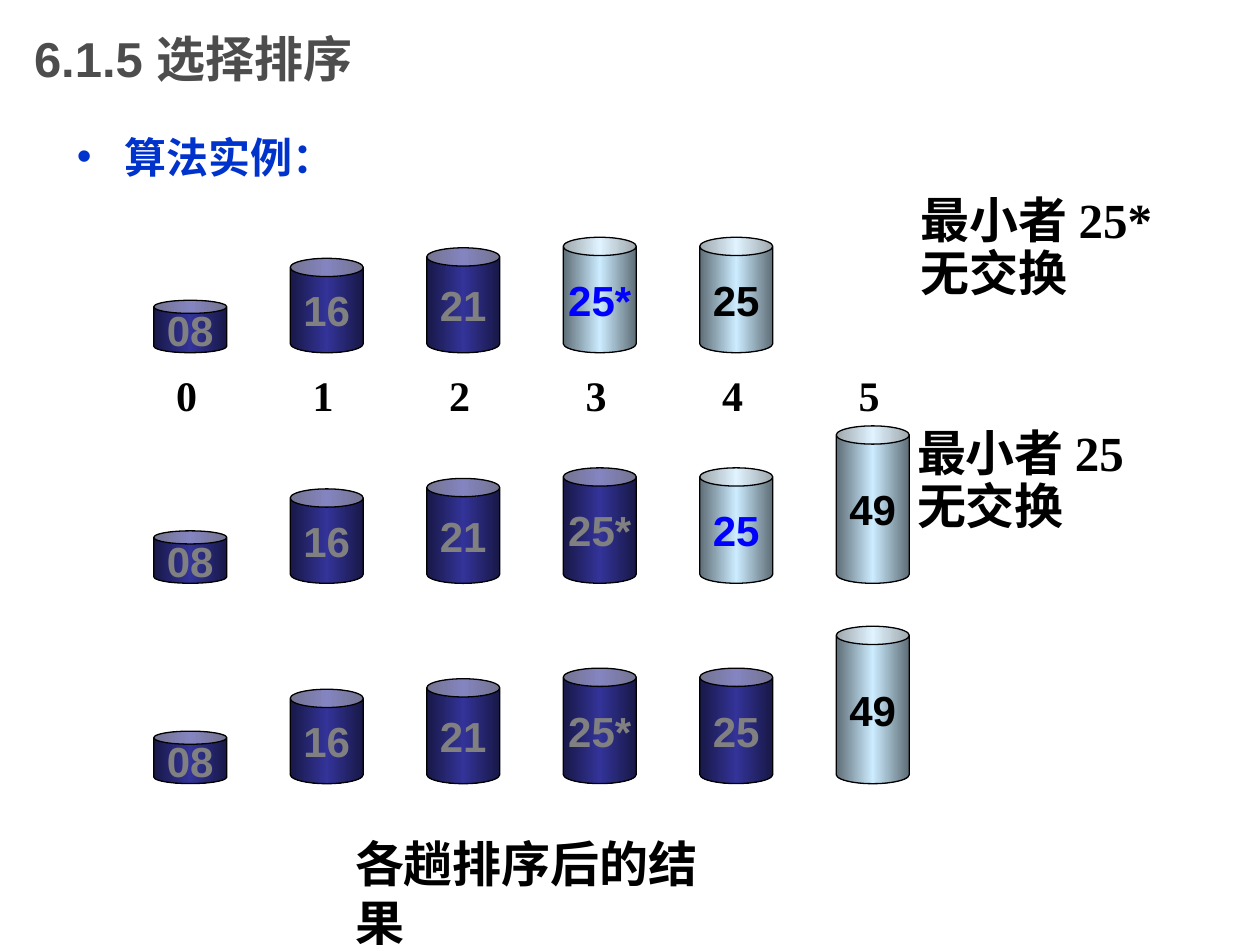
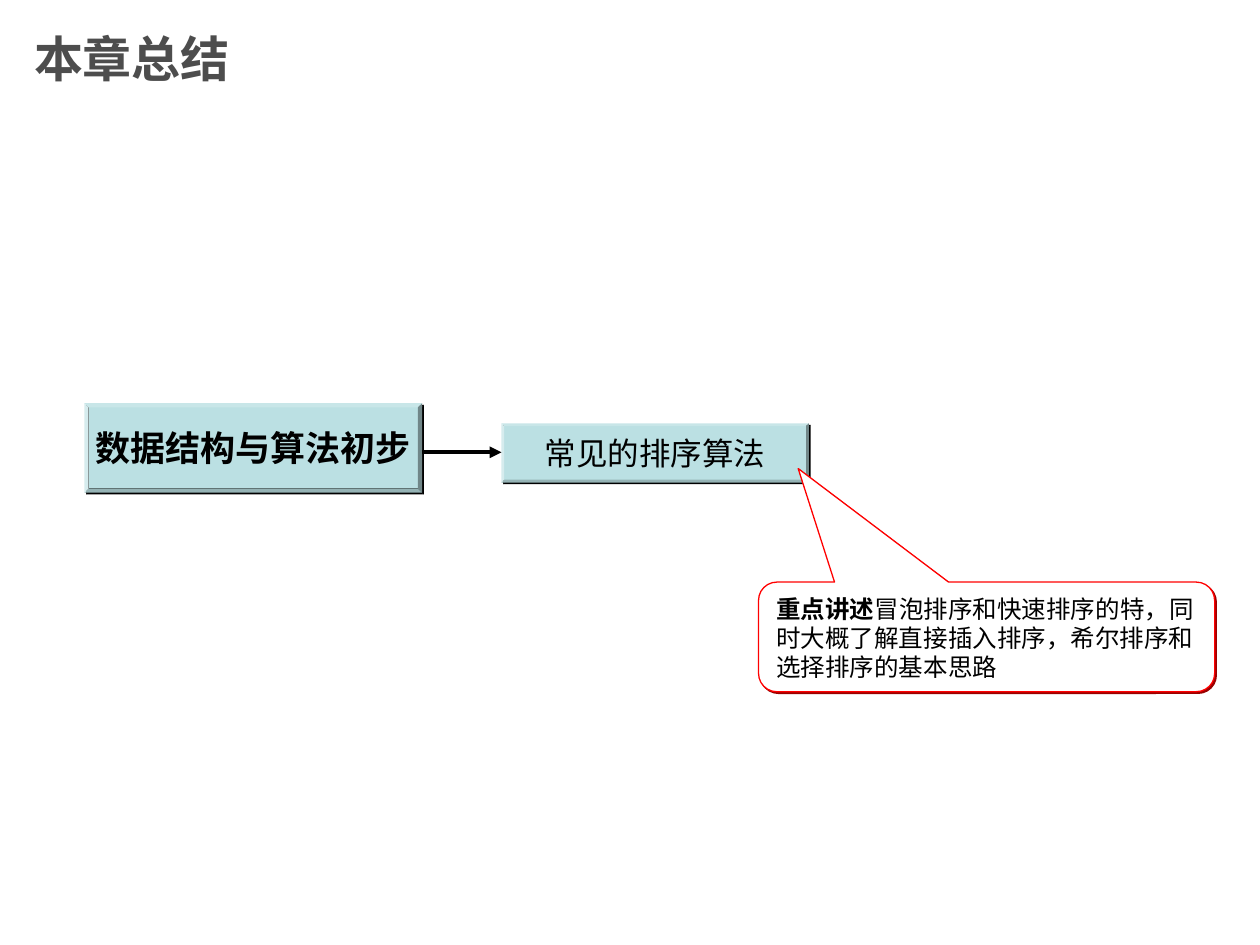
from copy import deepcopy
from dataclasses import dataclass

from lxml import etree
from pptx import Presentation
from pptx import util as u
from pptx.dml.color import RGBColor
from pptx.enum import shapes, text
from pptx.oxml.ns import qn


@dataclass(frozen=True)
class Theme:
    sans: str = "Arial"
    serif: str = "Times New Roman"
    narrow: str = "Arial Narrow"
    cjk: str = "Noto Sans CJK SC"
    black: str = "000000"
    white: str = "FFFFFF"
    title: str = "4D4D4D"
    blue: str = "0033CC"
    minimum: str = "0000FF"
    muted: str = "808080"
    box: str = "BBE0E3"
    red: str = "FF0000"
    dark_red: str = "990000"
    sorted_fill: tuple = ("181847", "333399", "181847")
    unsorted_fill: tuple = ("5E6D76", "CCECFF", "5E6D76")
    heading: float = 28
    body: float = 24
    topic: float = 20
    subtopic: float = 18
    note: float = 14


T = Theme()


@dataclass(frozen=True)
class Box:
    x: float
    y: float
    w: float
    h: float

    def emu(self) -> tuple:
        return tuple(u.Inches(v) for v in (self.x, self.y, self.w, self.h))


@dataclass(frozen=True)
class Pass:
    bottom: float
    values: tuple
    done: int
    minimum: int = -1


@dataclass(frozen=True)
class Topic:
    label: str
    box: Box
    size: float
    bold: bool
    before: float
    indent: float = 0


BAR_X, BAR_W, PITCH = 1.22, 0.58, 13 / 12
HEIGHTS = {"08": 5 / 12, "16": 9 / 12, "21": 10 / 12,
           "25*": 11 / 12, "25": 11 / 12, "49": 15 / 12}
VALUES = tuple(HEIGHTS)
PASSES = [
    Pass(2.8, VALUES[:5], 3, 3),
    Pass(4.63, VALUES, 4, 4),
    Pass(6.22, VALUES, 5),
]
LABELS = [
    ("最小者 25*\n无交换", Box(7.21, 1.51, 2.23, 0.94), 0.9),
    ("最小者 25\n无交换", Box(7.18, 3.36, 2.04, 0.94), 0.9),
    ("各趟排序后的结果", Box(2.72, 6.57, 3.3, 0.57), None),
]
TOPICS = [
    Topic("数据结构与算法初步", Box(0.67, 3.2, 2.68, 0.71), T.topic, True, 12.5),
    Topic("常见的排序算法", Box(3.98, 3.36, 2.44, 0.47), T.subtopic, False, 11.2, 0.5),
]


def rgb(color: str) -> RGBColor:
    return RGBColor.from_string(color)


def sub(parent, tag: str, **attrs):
    return etree.SubElement(parent, qn(tag), {k: str(v) for k, v in attrs.items()})


def add_run(p, words: str, *, size: float, font: str, color: str, bold: bool) -> None:
    r = p.add_run()
    r.text = words
    r.font.size, r.font.name, r.font.bold = u.Pt(size), font, bold
    r.font.color.rgb = rgb(color)
    sub(r._r.get_or_add_rPr(), "a:ea", typeface=T.cjk)


def write(tf, words: str, *, size: float = T.body, font: str = T.sans,
          color: str = T.black, bold: bool = True, align=text.PP_ALIGN.LEFT,
          before: float | None = None, spacing: float | None = None,
          indent: float = 0):
    for i, line in enumerate(words.split("\n")):
        p = tf.add_paragraph() if i else tf.paragraphs[0]
        p.alignment = align
        if before is not None:
            p.space_before = u.Pt(before)
        if spacing is not None:
            p.line_spacing = spacing
        if indent:
            pPr = p._p.get_or_add_pPr()
            pPr.set("marL", str(u.Inches(indent)))
            pPr.set("indent", str(-u.Inches(indent)))
        add_run(p, line, size=size, font=font, color=color, bold=bold)
    return p


def add_slide(prs, layout: int, title: str):
    s = prs.slides.add_slide(prs.slide_layouts[layout])
    sp = s.shapes.title
    sp.left, sp.top, sp.width, sp.height = Box(0.17, 0, 7.5, 0.92).emu()
    sp.text_frame.vertical_anchor = text.MSO_ANCHOR.MIDDLE
    write(sp.text_frame, title, size=T.heading, color=T.title)
    return s


def add_shape(s, kind, box: Box, adjustments: tuple, line: str | None):
    sp = s.shapes.add_shape(kind, *box.emu())
    sp.shadow.inherit = False
    for i, value in enumerate(adjustments):
        sp.adjustments[i] = value
    if line:
        sp.line.color.rgb, sp.line.width = rgb(line), u.Pt(0.75)
    else:
        sp.line.fill.background()
    sp.text_frame.word_wrap = False
    sp.text_frame.vertical_anchor = text.MSO_ANCHOR.MIDDLE
    return sp


def fill_solid(sp, color: str, shadow: str) -> None:
    sp.fill.solid()
    sp.fill.fore_color.rgb = rgb(color)
    effects = sp._element.spPr.find(qn("a:effectLst"))
    outer = sub(effects, "a:outerShdw", dist=u.Pt(1.4), dir=45 * 60000,
                algn="ctr", rotWithShape=0)
    sub(outer, "a:srgbClr", val=shadow)


def fill_gradient(sp, colors: tuple) -> None:
    sp.fill.gradient()
    sp.fill.gradient_angle = 0
    stops = sp._element.spPr.find(f".//{qn('a:gsLst')}")
    stops.append(deepcopy(stops[-1]))
    for i, (stop, color) in enumerate(zip(sp.fill.gradient_stops, colors)):
        stop.position = i / 2
        stop.color.rgb = rgb(color)


def add_label(s, words: str, box: Box, **fmt):
    sp = s.shapes.add_textbox(*box.emu())
    tf = sp.text_frame
    tf.word_wrap = False
    tf.auto_size = text.MSO_AUTO_SIZE.SHAPE_TO_FIT_TEXT
    return write(tf, words, font=T.serif, **fmt)


def add_pass(s, row: Pass) -> None:
    for i, value in enumerate(row.values):
        h = HEIGHTS[value]
        box = Box(BAR_X + i * PITCH, row.bottom - h, BAR_W, h)
        sp = add_shape(s, shapes.MSO_SHAPE.CAN, box, (0.25,), T.black)
        fill_gradient(sp, T.sorted_fill if i < row.done else T.unsorted_fill)
        color = T.muted if i < row.done else T.minimum if i == row.minimum else T.black
        write(sp.text_frame, value, color=color, align=text.PP_ALIGN.CENTER)


def add_indexes(s) -> None:
    p = add_label(s, "\t".join(map(str, range(6))), Box(1.3, 2.88, 5.78, 0.5))
    tabs = sub(p._p.get_or_add_pPr(), "a:tabLst")
    for i in range(1, 6):
        sub(tabs, "a:tab", pos=u.Inches(i * PITCH), algn="l")


def add_line(s, start: float, end: float, y: float, arrow: bool) -> None:
    c = s.shapes.add_connector(shapes.MSO_CONNECTOR.STRAIGHT,
                               *(u.Inches(v) for v in (start, y, end, y)))
    c.line.color.rgb, c.line.width = rgb(T.black), u.Pt(2.25)
    if arrow:
        sub(c.line._get_or_add_ln(), "a:tailEnd", type="triangle")
    sub(c._element.spPr, "a:effectLst")


def build_sorting(prs) -> None:
    s = add_slide(prs, 1, "6.1.5 选择排序")
    body = s.placeholders[1]
    body.left, body.top, body.width, body.height = Box(0.51, 0.99, 8.66, 6.06).emu()
    p = write(body.text_frame, "算法实例：", color=T.blue, before=6, indent=0.38)
    pPr = p._p.get_or_add_pPr()
    sub(sub(pPr, "a:buClr"), "a:srgbClr", val=T.blue)
    sub(pPr, "a:buChar", char="•")
    for row in PASSES:
        add_pass(s, row)
    add_indexes(s)
    for words, box, spacing in LABELS:
        add_label(s, words, box, size=T.heading, spacing=spacing)


def build_summary(prs) -> None:
    s = add_slide(prs, 5, "本章总结")
    for topic in TOPICS:
        sp = add_shape(s, shapes.MSO_SHAPE.BEVEL, topic.box, (0.047,), None)
        fill_solid(sp, T.box, T.black)
        write(sp.text_frame, topic.label, size=topic.size, font=T.cjk,
              bold=topic.bold, align=text.PP_ALIGN.CENTER,
              before=topic.before, indent=topic.indent)
    add_line(s, 3.66, 3.98, 3.59, True)
    add_line(s, 3.35, 3.82, 3.59, False)

    sp = add_shape(s, shapes.MSO_SHAPE.ROUNDED_RECTANGULAR_CALLOUT,
                   Box(6.02, 4.62, 3.62, 0.87), (-0.413, -1.536, 0.167), T.red)
    fill_solid(sp, T.white, T.dark_red)
    tf = sp.text_frame
    tf.word_wrap = True
    tf.vertical_anchor = text.MSO_ANCHOR.TOP
    p = write(tf, "重点讲述", size=T.note, font=T.narrow)
    add_run(p, "冒泡排序和快速排序的特，同时大概了解直接插入排序，希尔排序和选择排序的基本思路",
            size=T.note, font=T.narrow, color=T.black, bold=False)


def main() -> None:
    prs = Presentation()
    prs.slide_width, prs.slide_height = u.Inches(10), u.Inches(7.5)
    build_sorting(prs)
    build_summary(prs)
    prs.save("out.pptx")


if __name__ == "__main__":
    main()
